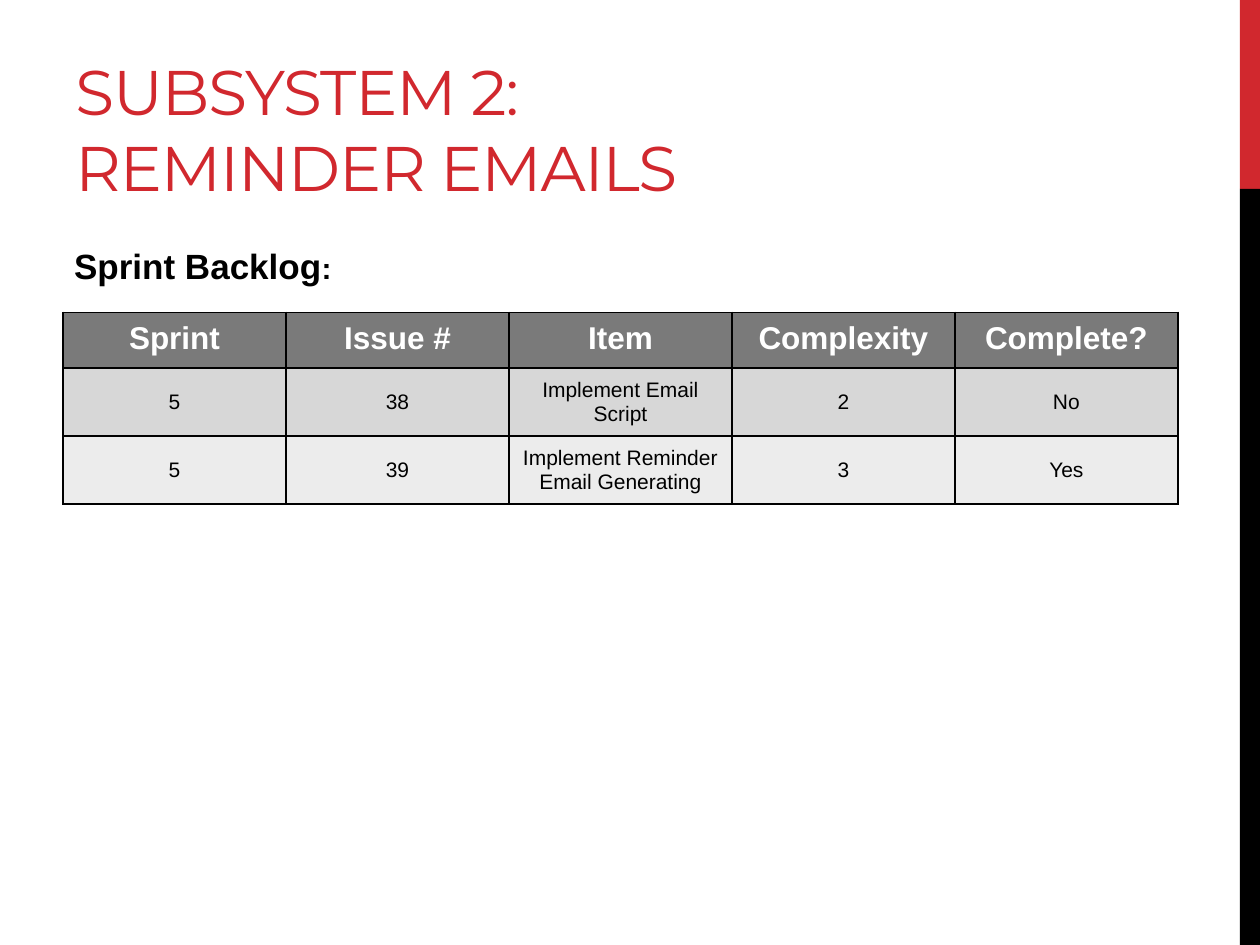
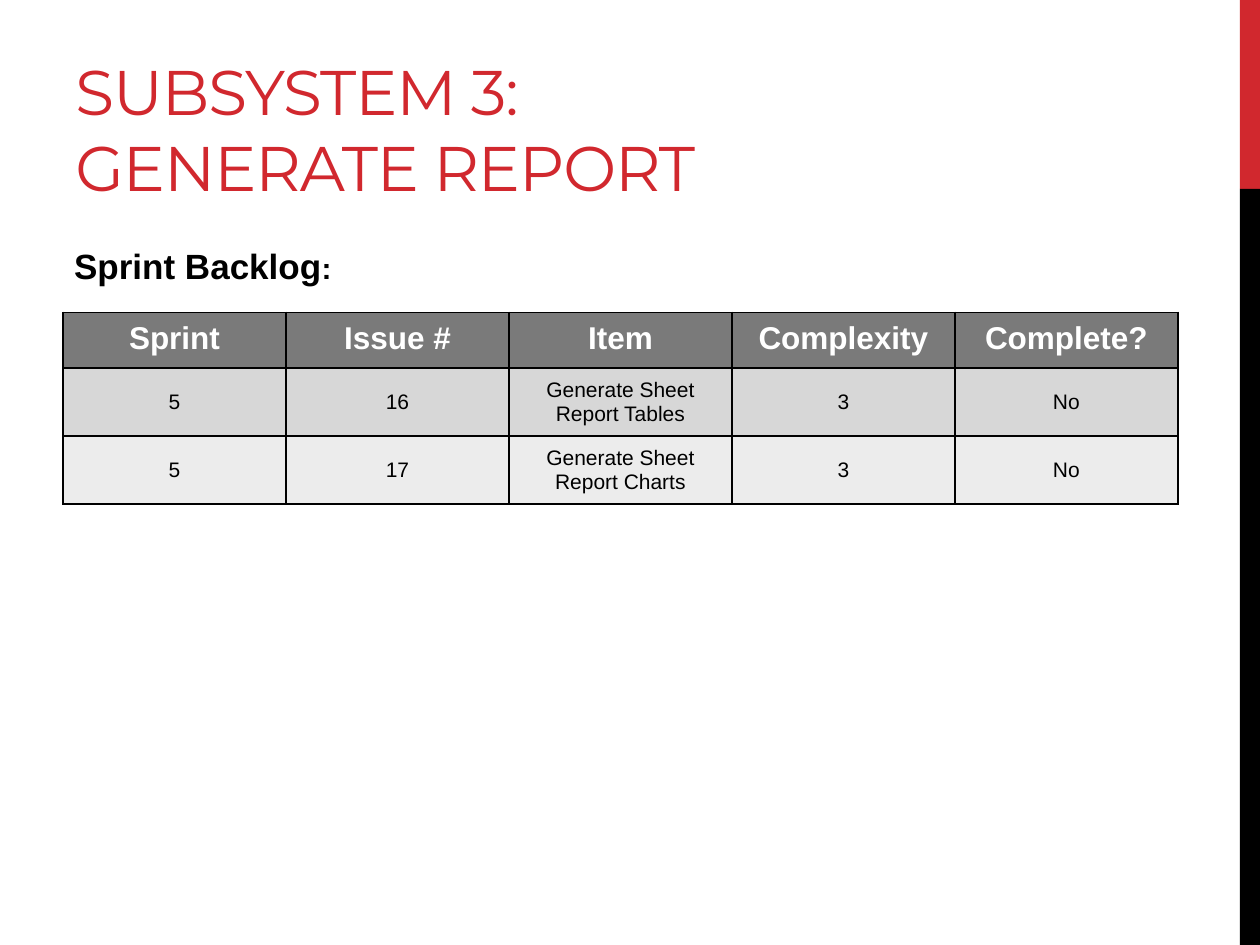
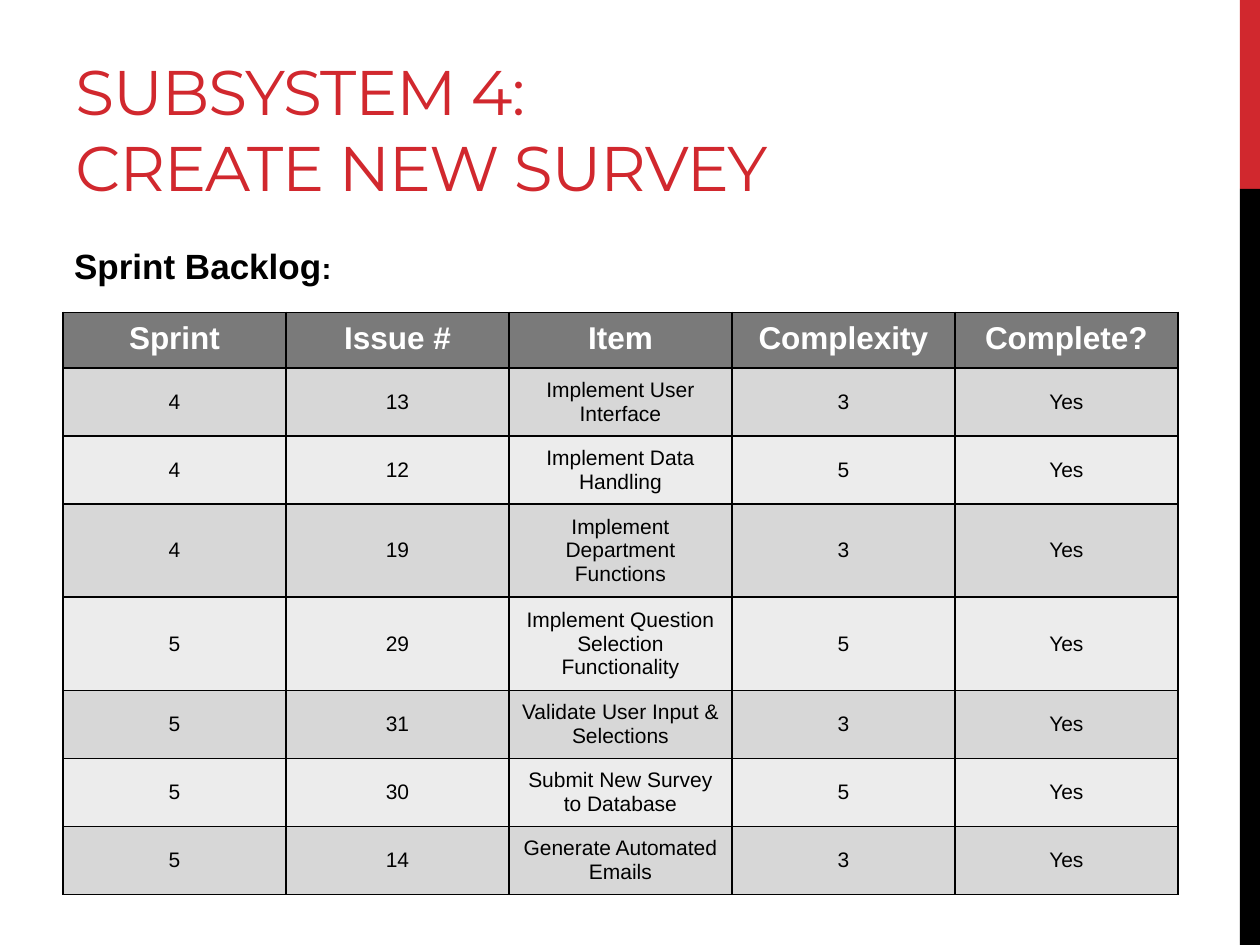
from pptx import Presentation
from pptx.dml.color import RGBColor
from pptx.enum.shapes import MSO_SHAPE
from pptx.enum.text import MSO_ANCHOR, MSO_AUTO_SIZE, PP_ALIGN
from pptx.oxml import parse_xml
from pptx.oxml.ns import nsdecls
from pptx.util import Inches, Pt

RECT = MSO_SHAPE.RECTANGLE
TOP, MIDDLE, BOTTOM = MSO_ANCHOR.TOP, MSO_ANCHOR.MIDDLE, MSO_ANCHOR.BOTTOM
CENTER = PP_ALIGN.CENTER
FIT_SHAPE = MSO_AUTO_SIZE.SHAPE_TO_FIT_TEXT

COLORS = {"red": "D1282E", "black": "000000", "white": "FFFFFF",
          "header": "7A7A7A", "odd": "D7D7D7", "even": "ECECEC"}

FONTS = {
    "title": {"name": "Montserrat", "size": Pt(36), "color": "red"},
    "heading": {"name": "Arial", "size": Pt(20), "bold": True, "color": "black"},
    "colon": {"name": "Arial", "size": Pt(17), "bold": True, "color": "black"},
    "header": {"name": "Arial", "size": Pt(18), "bold": True, "color": "white"},
    "body": {"name": "Arial", "size": Pt(12), "bold": False, "color": "black"},
}

HEADERS = ["Sprint", "Issue #", "Item", "Complexity", "Complete?"]
COL_WIDTH, ROW_HEIGHT, CELL_MARGIN = Inches(1.77), Inches(0.41), Inches(0.07)

# Title lines, height of the table frame in inches, backlog rows
BACKLOGS = [
    ("SUBSYSTEM 2:", "REMINDER EMAILS", 1.52, [
        ("5", "38", "Implement Email Script", "2", "No"),
        ("5", "39", "Implement Reminder Email Generating", "3", "Yes"),
    ]),
    ("SUBSYSTEM 3:", "GENERATE REPORT", 1.52, [
        ("5", "16", "Generate Sheet Report Tables", "3", "No"),
        ("5", "17", "Generate Sheet Report Charts", "3", "No"),
    ]),
    ("SUBSYSTEM 4:", "CREATE NEW SURVEY", 4.61, [
        ("4", "13", "Implement User Interface", "3", "Yes"),
        ("4", "12", "Implement Data Handling", "5", "Yes"),
        ("4", "19", "Implement Department Functions", "3", "Yes"),
        ("5", "29", "Implement Question Selection Functionality", "5", "Yes"),
        ("5", "31", "Validate User Input & Selections", "3", "Yes"),
        ("5", "30", "Submit New Survey to Database", "5", "Yes"),
        ("5", "14", "Generate Automated Emails", "3", "Yes"),
    ]),
]


def rgb(name):
    return RGBColor.from_string(COLORS[name])


def set_font(r, style):
    for key, value in FONTS[style].items():
        if key == "color":
            r.font.color.rgb = rgb(value)
        else:
            setattr(r.font, key, value)


class Deck:
    def __init__(self):
        self.prs = Presentation()
        self.prs.slide_width, self.prs.slide_height = Inches(10), Inches(7.5)
        self.s = None

    def new_slide(self):
        """Add a blank slide with the two bands on its right edge."""
        self.s = self.prs.slides.add_slide(self.prs.slide_layouts[6])
        self.band(0, 1.5, "red")
        self.band(1.5, 6, "black")

    def band(self, top, height, color):
        sp = self.s.shapes.add_shape(RECT, Inches(9.84), Inches(top),
                                     Inches(0.16), Inches(height))
        sp.shadow.inherit = False
        sp.fill.solid()
        sp.fill.fore_color.rgb = rgb(color)
        sp.line.fill.background()

    def title(self, *lines):
        tb = self.s.shapes.add_textbox(Inches(0.5), Inches(0.17),
                                       Inches(6.33), Inches(1.5))
        tf = tb.text_frame
        tf.word_wrap = True
        tf.vertical_anchor = BOTTOM
        p = tf.paragraphs[0]
        p.text = "\v".join(lines)
        for r in p.runs:
            set_font(r, "title")
            r.font._element.set("spc", "-60")

    def heading(self, text):
        tb = self.s.shapes.add_textbox(Inches(0.49), Inches(1.93),
                                       Inches(2.26), Inches(0.4))
        tf = tb.text_frame
        tf.word_wrap = False
        tf.auto_size = FIT_SHAPE
        p = tf.paragraphs[0]
        p.line_spacing, p.space_before, p.space_after = 0.9, Pt(4), Pt(6)
        for part, style in ((text, "heading"), (":", "colon")):
            r = p.add_run()
            r.text = part
            set_font(r, style)

    def table(self, rows, height):
        frame = self.s.shapes.add_table(
            len(rows) + 1, len(HEADERS), Inches(0.5), Inches(2.48),
            COL_WIDTH * len(HEADERS), Inches(height))
        table = frame.table
        for col in table.columns:
            col.width = COL_WIDTH
        for row in table.rows:
            row.height = ROW_HEIGHT
        # Rows grow with their text; the frame keeps its own height.
        frame.height = Inches(height)
        for i, texts in enumerate([HEADERS, *rows]):
            fill = "header" if i == 0 else "odd" if i % 2 else "even"
            for j, text in enumerate(texts):
                self.cell(table.cell(i, j), text, fill)

    def cell(self, cell, text, fill):
        is_header = fill == "header"
        for side in ("left", "right", "top", "bottom"):
            setattr(cell, f"margin_{side}", CELL_MARGIN)
        cell.vertical_anchor = TOP if is_header else MIDDLE
        p = cell.text_frame.paragraphs[0]
        p.alignment = CENTER
        r = p.add_run()
        r.text = text
        set_font(r, "header" if is_header else "body")
        tc_pr = cell._tc.get_or_add_tcPr()
        for tag in ("lnL", "lnR", "lnT", "lnB"):
            tc_pr.append(parse_xml(
                f'<a:{tag} {nsdecls("a")} w="{Pt(1)}"><a:solidFill>'
                f'<a:srgbClr val="{COLORS["black"]}"/></a:solidFill></a:{tag}>'))
        cell.fill.solid()
        cell.fill.fore_color.rgb = rgb(fill)


def main():
    deck = Deck()
    for subsystem, name, height, rows in BACKLOGS:
        deck.new_slide()
        deck.title(subsystem, name)
        deck.table(rows, height)
        deck.heading("Sprint Backlog")
    deck.prs.save("out.pptx")


if __name__ == "__main__":
    main()
